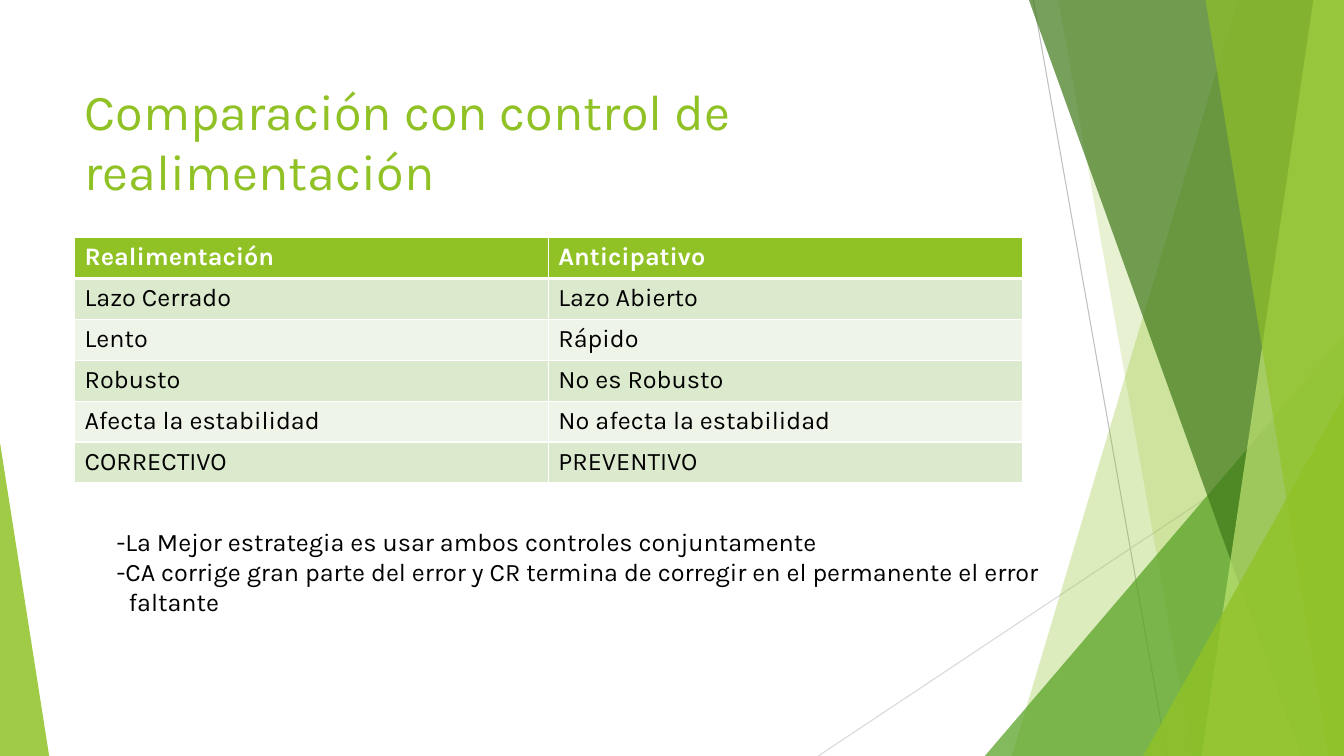
from lxml import etree
from pptx import Presentation
from pptx.dml.color import RGBColor
from pptx.enum.shapes import MSO_CONNECTOR, MSO_SHAPE
from pptx.enum.text import MSO_ANCHOR, PP_ALIGN
from pptx.oxml.ns import qn
from pptx.util import Cm, Pt

STRAIGHT = MSO_CONNECTOR.STRAIGHT
TRIANGLE = MSO_SHAPE.ISOSCELES_TRIANGLE
MIDDLE, LEFT = MSO_ANCHOR.MIDDLE, PP_ALIGN.LEFT

WIDTH, HEIGHT = 33.87, 19.05
FONT = "Karla"
GREEN, WHITE, BLACK = "90C226", "FFFFFF", "000000"
BANDS = ("DBE9CD", "EEF4E8")

ROWS = [
    ("Realimentación", "Anticipativo"),
    ("Lazo Cerrado", "Lazo Abierto"),
    ("Lento", "Rápido"),
    ("Robusto", "No es Robusto"),
    ("Afecta la estabilidad", "No afecta la estabilidad"),
    ("CORRECTIVO", "PREVENTIVO"),
]
NOTES = [
    "-La Mejor estrategia es usar ambos controles conjuntamente",
    "-CA corrige gran parte del error y CR termina de corregir en el "
    "permanente el error\vfaltante",
]


def rgb(value):
    return RGBColor.from_string(value)


def format_font(p, color, **values):
    for name, value in {"name": FONT, "size": Pt(18), **values}.items():
        setattr(p.font, name, value)
    p.font.color.rgb = rgb(color)


def fill_facet(sp, color, opacity):
    sp.shadow.inherit = False
    sp.line.fill.background()
    sp.fill.solid()
    sp.fill.fore_color.rgb = rgb(color)
    clr = sp.fill._xPr.find(qn("a:solidFill"))[0]
    etree.SubElement(clr, qn("a:alpha"), val=str(opacity * 1000))


def add_facet(s, top_x, bottom_x, color, opacity):
    """Full-height panel from a slanted left side to the slide's right edge."""
    builder = s.shapes.build_freeform(Cm(top_x), 0)
    corners = [(WIDTH, 0), (WIDTH, HEIGHT), (bottom_x, HEIGHT)]
    builder.add_line_segments([(Cm(x), Cm(y)) for x, y in corners])
    fill_facet(builder.convert_to_shape(), color, opacity)


def add_corner(s, x, width, height, apex, color, opacity):
    """Triangle standing on the slide's bottom edge."""
    sp = s.shapes.add_shape(TRIANGLE, Cm(x), Cm(HEIGHT - height), Cm(width), Cm(height))
    sp.adjustments[0] = apex
    fill_facet(sp, color, opacity)


def add_hairline(s, x1, y1, x2, y2, color):
    line = s.shapes.add_connector(STRAIGHT, Cm(x1), Cm(y1), Cm(x2), Cm(y2))
    line.line.color.rgb = rgb(color)
    line.line.width = Pt(0.75)
    etree.SubElement(line._element.spPr, qn("a:effectLst"))


def add_decoration(s):
    add_hairline(s, 26.04, 0, 29.41, HEIGHT, "BFBFBF")
    add_hairline(s, WIDTH, 10.24, 20.62, HEIGHT, "D9D9D9")
    add_facet(s, 31.19, 25.5, GREEN, 30)
    add_facet(s, 26.67, 30.05, GREEN, 20)
    add_corner(s, 24.82, 9.05, 10.59, 1, "54A021", 72)
    add_facet(s, 25.93, 32.79, "3F7819", 70)
    add_facet(s, 33.1, 30.28, "C0E474", 70)
    add_facet(s, 30.38, 33.48, GREEN, 65)
    add_corner(s, 28.81, 5.06, 9.07, 1, GREEN, 80)
    add_corner(s, 0, 1.24, 7.9, 0, GREEN, 85)


def set_title(s, text):
    title = s.shapes.title
    title.left, title.top, title.width, title.height = Cm(1.88), Cm(1.7), Cm(23.88), Cm(3.66)
    tf = title.text_frame
    tf.text = text
    tf.word_wrap = True
    tf.vertical_anchor = MIDDLE
    p = tf.paragraphs[0]
    p.alignment = LEFT
    format_font(p, GREEN, size=Pt(36))


def set_borders(cell, widths):
    """Draw white borders, each before the cell's fill."""
    tc_pr = cell._tc.get_or_add_tcPr()
    for i, (side, width) in enumerate(widths.items()):
        ln = etree.Element(qn(f"a:ln{side}"), w=str(Pt(width)))
        solid = etree.SubElement(ln, qn("a:solidFill"))
        etree.SubElement(solid, qn("a:srgbClr"), val=WHITE)
        tc_pr.insert(i, ln)


def add_comparison(s, rows):
    frame = s.shapes.add_table(len(rows), 2, Cm(1.88), Cm(5.99), Cm(23.88), Cm(1.03 * len(rows)))
    for i, row in enumerate(rows):
        header = i == 0
        for j, text in enumerate(row):
            cell = frame.table.cell(i, j)
            cell.text = text
            cell.fill.solid()
            cell.fill.fore_color.rgb = rgb(GREEN if header else BANDS[(i - 1) % 2])
            format_font(cell.text_frame.paragraphs[0], WHITE if header else BLACK, bold=header)
            set_borders(cell, {"L": 1, "R": 1, "T": 3 if i == 1 else 1, "B": 3 if header else 1})


def add_notes(s, lines):
    tf = s.shapes.add_textbox(Cm(2.69), Cm(13.13), Cm(24.54), Cm(2.57)).text_frame
    tf.word_wrap = False
    for i, text in enumerate(lines):
        p = tf.paragraphs[0] if i == 0 else tf.add_paragraph()
        p.text = text
        # Hanging indent for the continued line
        p_pr = p._p.get_or_add_pPr()
        p_pr.set("marL", str(Cm(0.3)))
        p_pr.set("indent", str(-Cm(0.3)))
        p.alignment = LEFT
        format_font(p, BLACK)


def main():
    prs = Presentation()
    prs.slide_width, prs.slide_height = Cm(WIDTH), Cm(HEIGHT)
    s = prs.slides.add_slide(prs.slide_layouts[5])

    # Green facets and hairlines
    add_decoration(s)

    # Title, comparison table and closing remarks
    set_title(s, "Comparación con control de realimentación")
    add_comparison(s, ROWS)
    add_notes(s, NOTES)
    prs.save("out.pptx")


if __name__ == "__main__":
    main()
